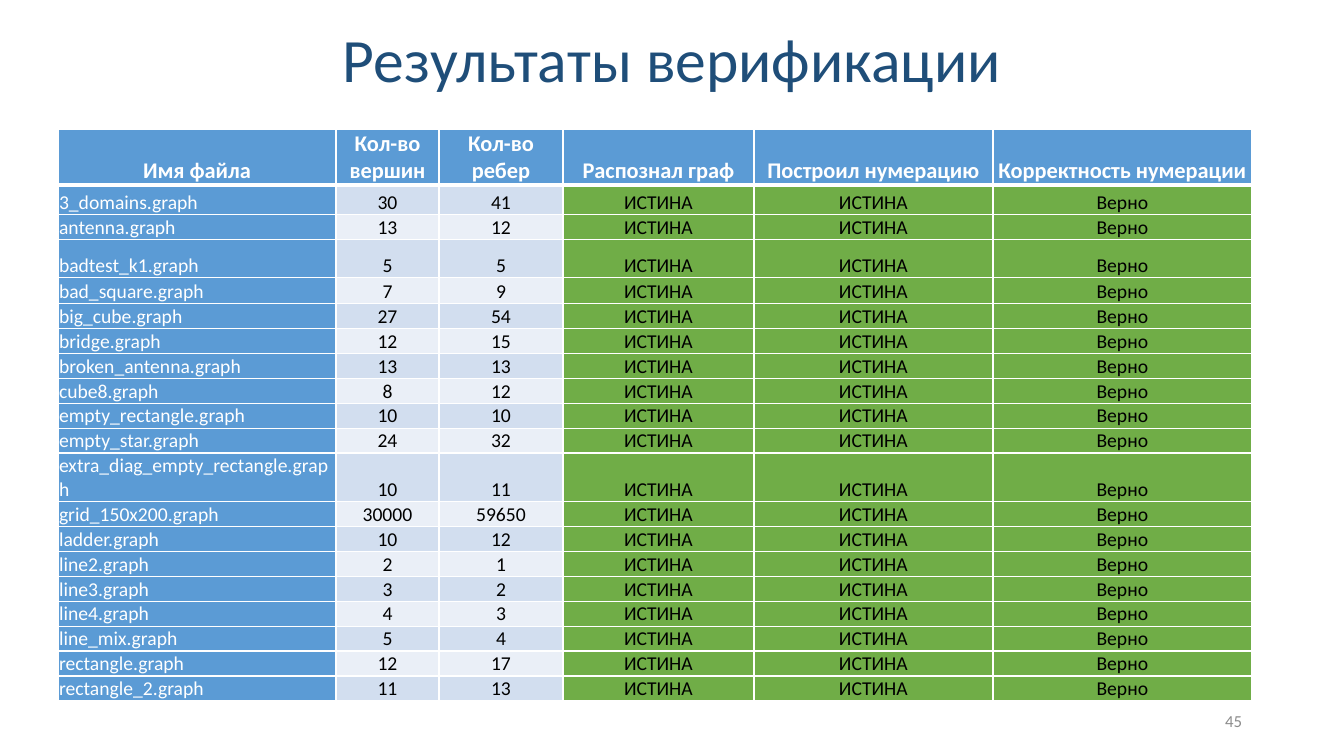
from dataclasses import dataclass

from lxml.etree import SubElement
from pptx import Presentation
from pptx.dml.color import RGBColor
from pptx.enum.text import MSO_ANCHOR, PP_ALIGN
from pptx.oxml.ns import qn
from pptx.util import Pt

TITLE = "Результаты верификации"
PAGE_NUMBER = "45"
HEADERS = [
    "Имя файла", "Кол-во вершин", "Кол-во ребер",
    "Распознал граф", "Построил нумерацию", "Корректность нумерации",
]
GRAPHS = [
    ("3_domains", 30, 41),
    ("antenna", 13, 12),
    ("badtest_k1", 5, 5),
    ("bad_square", 7, 9),
    ("big_cube", 27, 54),
    ("bridge", 12, 15),
    ("broken_antenna", 13, 13),
    ("cube8", 8, 12),
    ("empty_rectangle", 10, 10),
    ("empty_star", 24, 32),
    ("extra_diag_empty_rectangle", 10, 11),
    ("grid_150x200", 30000, 59650),
    ("ladder", 10, 12),
    ("line2", 2, 1),
    ("line3", 3, 2),
    ("line4", 4, 3),
    ("line_mix", 5, 4),
    ("rectangle", 12, 17),
    ("rectangle_2", 11, 13),
]
VERDICTS = ["ИСТИНА", "ИСТИНА", "Верно"]
COLUMN_WIDTHS = [278, 103, 124, 191, 239, 259]
FIRST_ROW_HEIGHTS = [54, 30, 20, 38, 26, 22, 25]
ROW_HEIGHT = 24
TABLE_LEFT, TABLE_TOP, TABLE_HEIGHT = 58, 129, 568


@dataclass(frozen=True)
class Theme:
    font: str = "Calibri"
    title: str = "1F4E79"
    accent: str = "5B9BD5"
    bands: tuple = ("D2DEEF", "EAEFF7")
    success: str = "70AD47"
    white: str = "FFFFFF"
    black: str = "000000"
    muted: str = "8C8C8C"
    title_size: int = 44
    header_size: int = 16
    body_size: int = 14
    number_size: int = 12
    border: int = 1
    header_border: int = 3


THEME = Theme()


def px(length):
    return round(length * 914400 / 100.8)


def write(text_frame, text, size, color, alignment, bold=False):
    text_frame.word_wrap = True
    paragraph = text_frame.paragraphs[0]
    paragraph.text = text
    paragraph.alignment = alignment
    font = paragraph.font
    font.name, font.size, font.bold = THEME.font, Pt(size), bold
    font.color.rgb = RGBColor.from_string(color)
    return paragraph


def add_text(slide, box, text, size, color, alignment):
    text_frame = slide.shapes.add_textbox(*map(px, box)).text_frame
    text_frame.vertical_anchor = MSO_ANCHOR.MIDDLE
    return write(text_frame, text, size, color, alignment)


def add_borders(cell, top, bottom):
    properties = cell._tc.get_or_add_tcPr()
    widths = {"lnL": THEME.border, "lnR": THEME.border, "lnT": top, "lnB": bottom}
    for side, width in widths.items():
        line = SubElement(properties, qn(f"a:{side}"), w=str(Pt(width)))
        fill = SubElement(line, qn("a:solidFill"))
        SubElement(fill, qn("a:srgbClr"), val=THEME.white)


def cell_fill(row, column):
    if row == 0 or column == 0:
        return THEME.accent
    return THEME.bands[(row - 1) % 2] if column < 3 else THEME.success


def style_cell(cell, row, column, text):
    header = row == 0
    cell.margin_left = cell.margin_right = cell.margin_top = px(1)
    cell.margin_bottom = 0
    cell.vertical_anchor = MSO_ANCHOR.BOTTOM
    add_borders(
        cell,
        THEME.header_border if row == 1 else THEME.border,
        THEME.header_border if header else THEME.border,
    )
    cell.fill.solid()
    cell.fill.fore_color.rgb = RGBColor.from_string(cell_fill(row, column))
    write(
        cell.text_frame,
        text,
        THEME.header_size if header else THEME.body_size,
        THEME.white if header or column == 0 else THEME.black,
        PP_ALIGN.CENTER if header or column else PP_ALIGN.LEFT,
        header,
    )


def add_results(slide):
    rows = [HEADERS] + [
        [f"{name}.graph", str(vertices), str(edges), *VERDICTS]
        for name, vertices, edges in GRAPHS
    ]
    frame = slide.shapes.add_table(
        len(rows), len(HEADERS), px(TABLE_LEFT), px(TABLE_TOP),
        px(sum(COLUMN_WIDTHS)), px(TABLE_HEIGHT),
    )
    table = frame.table
    for column, width in zip(table.columns, COLUMN_WIDTHS):
        column.width = px(width)
    remaining = len(rows) - len(FIRST_ROW_HEIGHTS)
    heights = FIRST_ROW_HEIGHTS + [ROW_HEIGHT] * remaining
    for row, height in zip(table.rows, heights):
        row.height = px(height)
    frame.height = px(TABLE_HEIGHT)
    for row, values in enumerate(rows):
        for column, text in enumerate(values):
            style_cell(table.cell(row, column), row, column, text)


def main():
    presentation = Presentation()
    presentation.slide_width, presentation.slide_height = px(1344), px(756)
    slide = presentation.slides.add_slide(presentation.slide_layouts[6])
    add_results(slide)
    title = add_text(
        slide, (0, 22, 1344, 81), TITLE, THEME.title_size, THEME.title, PP_ALIGN.CENTER
    )
    title.line_spacing = 0.9
    add_text(
        slide, (950, 701, 302, 40), PAGE_NUMBER,
        THEME.number_size, THEME.muted, PP_ALIGN.RIGHT,
    )
    presentation.save("out.pptx")


if __name__ == "__main__":
    main()
